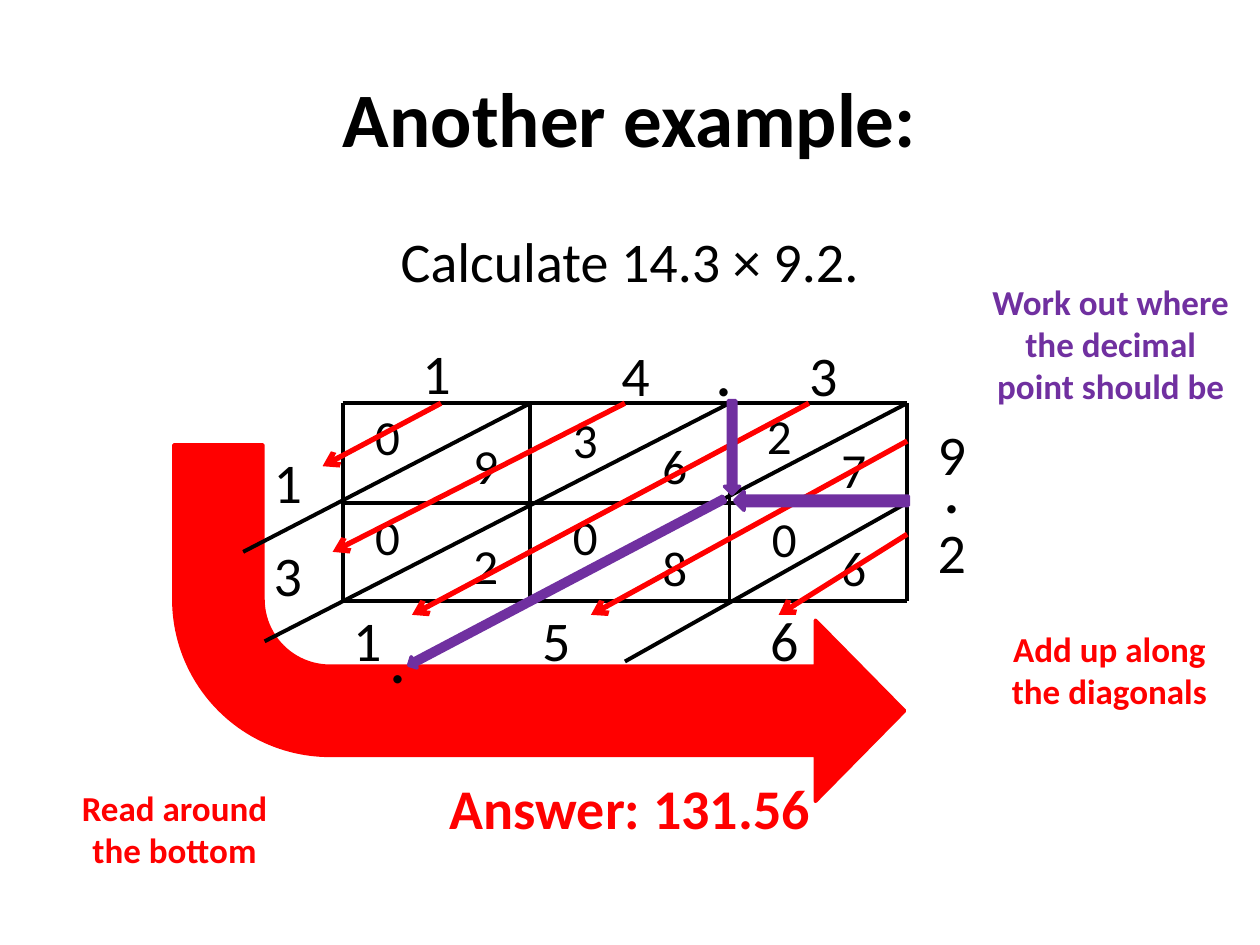
from dataclasses import dataclass

from lxml import etree
from pptx import Presentation
from pptx.dml.color import RGBColor
from pptx.enum.shapes import MSO_CONNECTOR, MSO_SHAPE
from pptx.enum.text import MSO_ANCHOR, MSO_AUTO_SIZE, PP_ALIGN
from pptx.oxml.ns import qn
from pptx.util import Inches, Pt

STRAIGHT = MSO_CONNECTOR.STRAIGHT
BENT, DOWN, LEFT = MSO_SHAPE.BENT_ARROW, MSO_SHAPE.DOWN_ARROW, MSO_SHAPE.LEFT_ARROW
CENTER = PP_ALIGN.CENTER
TOP, MIDDLE = MSO_ANCHOR.TOP, MSO_ANCHOR.MIDDLE
GROW, FIXED = MSO_AUTO_SIZE.SHAPE_TO_FIT_TEXT, MSO_AUTO_SIZE.NONE


@dataclass(frozen=True)
class Theme:
    font: str = "Calibri"
    ink: str = "000000"
    red: str = "FF0000"
    purple: str = "7030A0"
    title: int = 44
    body: int = 32
    digit: int = 28
    note: int = 20


def write(para, text, *, theme, size, color, bold=False, before=0):
    """Put one centred, formatted span of text into a paragraph."""
    para.alignment = CENTER
    if before:
        para.space_before = Pt(before)
    span = para.add_run()
    span.text = text
    span.font.name = theme.font
    span.font.size = Pt(size)
    span.font.bold = bold
    span.font.color.rgb = RGBColor.from_string(color)


class Board:
    """Draws on one page, measured in a grid of 100 columns by 75 rows."""

    def __init__(self, deck, theme):
        self.theme = theme
        self.page = deck.slides.add_slide(deck.slide_layouts[6])
        self.column = deck.slide_width / 100
        self.row = deck.slide_height / 75

    def place(self, x, y):
        return round(x * self.column), round(y * self.row)

    def text(self, x, y, width, height, *lines, anchor=TOP, fit=GROW):
        """Each line is a pair: its text and its format."""
        box = self.page.shapes.add_textbox(*self.place(x, y), *self.place(width, height))
        frame = box.text_frame
        frame.word_wrap = True
        frame.auto_size = fit
        frame.vertical_anchor = anchor
        for index, (line, style) in enumerate(lines):
            para = frame.add_paragraph() if index else frame.paragraphs[0]
            write(para, line, theme=self.theme, **style)

    def digit(self, x, y, text, size):
        style = dict(size=size, color=self.theme.ink, bold=text == ".")
        height = 6.4 if size == self.theme.body else 5.7
        self.text(x, y, 7.1, height, (text, style))

    def note(self, x, y, height, text, color):
        style = dict(size=self.theme.note, color=color, bold=True)
        self.text(x, y, 20.9, height, (text, style))

    def line(self, start, end, color, width, arrow=False):
        line = self.page.shapes.add_connector(
            STRAIGHT, *self.place(*start), *self.place(*end))
        line.line.color.rgb = RGBColor.from_string(color)
        line.line.width = Pt(width)
        if arrow:
            etree.SubElement(line.line._get_or_add_ln(), qn("a:tailEnd"), type="arrow")
        etree.SubElement(line._element.spPr, qn("a:effectLst"))

    def block_arrow(self, kind, x, y, width, height, color, turn=0, adjust=(), flip=False):
        shape = self.page.shapes.add_shape(
            kind, *self.place(x, y), *self.place(width, height))
        shape.shadow.inherit = False
        shape.fill.solid()
        shape.fill.fore_color.rgb = RGBColor.from_string(color)
        shape.line.color.rgb = RGBColor.from_string(color)
        shape.line.width = Pt(2)
        shape.rotation = turn
        for index, value in enumerate(adjust):
            shape.adjustments[index] = value
        if flip:
            shape._element.spPr.find(qn("a:xfrm")).set("flipH", "1")


def main():
    theme = Theme()
    deck = Presentation()
    deck.slide_width, deck.slide_height = Inches(10), Inches(7.5)
    board = Board(deck, theme)

    # Question and answer
    board.text(5, 17.5, 90, 53.1,
               ("Calculate 14.3 × 9.2.", dict(size=theme.body, color=theme.ink)),
               ("Answer: 131.56", dict(size=theme.body, color=theme.red,
                                       bold=True, before=274)),
               fit=FIXED)

    # Partial products: tens and units of each cell, row by row
    for x, y, text in [
        (58.3, 31.7, "2"), (64.2, 34.4, "7"), (27.2, 31.8, "0"),
        (35, 34.1, "9"), (42.9, 32, "3"), (50, 34.1, "6"),
        (27.2, 39.7, "0"), (35, 42, "2"), (42.9, 39.7, "0"),
        (50, 42.2, "8"), (58.7, 39.9, "0"), (64.2, 42.2, "6"),
    ]:
        board.digit(x, y, text, theme.digit)

    # Factors along the top and the right side
    for x, y, text in [
        (31.1, 26.4, "1"), (53.9, 26.5, "."), (46.9, 26.5, "4"), (61.8, 26.5, "3"),
        (72, 32.8, "9"), (72, 35.8, "."), (72, 40.6, "2"),
    ]:
        board.digit(x, y, text, theme.body)

    # Reading direction
    board.block_arrow(BENT, 13.8, 35.3, 58, 28.3, theme.red, turn=180,
                      adjust=(0.25, 0.254, 0.25, 0.438), flip=True)

    # Title
    board.text(5, 3, 90, 12.5,
               ("Another example:", dict(size=theme.title, color=theme.ink, bold=True)),
               anchor=MIDDLE, fit=FIXED)

    # Lattice
    columns = left, second, third, right = 27.2, 42.1, 57.9, 72
    rows = top, middle, bottom = 32, 39.9, 47.7
    lattice = [((left, y), (right, y)) for y in rows]
    lattice += [((x, bottom), (x, top)) for x in columns]
    lattice += [
        ((19.3, 43.8), (second, top)), ((21, 50.9), (third, top)),
        ((32.7, 52.5), (right, top)), ((49.6, 52.5), (right, middle)),
    ]
    for start, end in lattice:
        board.line(start, end, theme.ink, 2.25)

    # Sums of the diagonals
    for x, y, text in [(58.7, 47.6, "6"), (40.6, 47.6, "5"), (25.6, 47.6, "1"),
                       (19.3, 35, "1"), (19.3, 42.4, "3")]:
        board.digit(x, y, text, theme.body)

    # Adding arrows
    for start, end in [
        ((right, 42.4), (61.8, 48.8)), ((right, 35), (46.9, 48.8)),
        ((64.2, top), (32.7, 48.8)), ((49.6, top), (26.4, 43.8)),
        ((35, top), (25.6, 37)),
    ]:
        board.line(start, end, theme.red, 3, arrow=True)

    # Path of the decimal point
    board.digit(28, 49.3, ".", theme.body)
    board.block_arrow(DOWN, 57.5, 31.8, 1.2, 7.4, theme.purple)
    board.block_arrow(LEFT, 58.3, 39, 13.8, 1.5, theme.purple)
    board.block_arrow(LEFT, 30.8, 45.7, 28.3, 1, theme.purple, turn=332.2)

    # Notes
    board.note(77.6, 49.3, 7.7, "Add up along the diagonals", theme.red)
    board.note(3.4, 61.9, 7.7, "Read around the bottom", theme.red)
    board.note(77.7, 21.8, 11.1, "Work out where the decimal point should be", theme.purple)

    deck.save("out.pptx")


if __name__ == "__main__":
    main()
